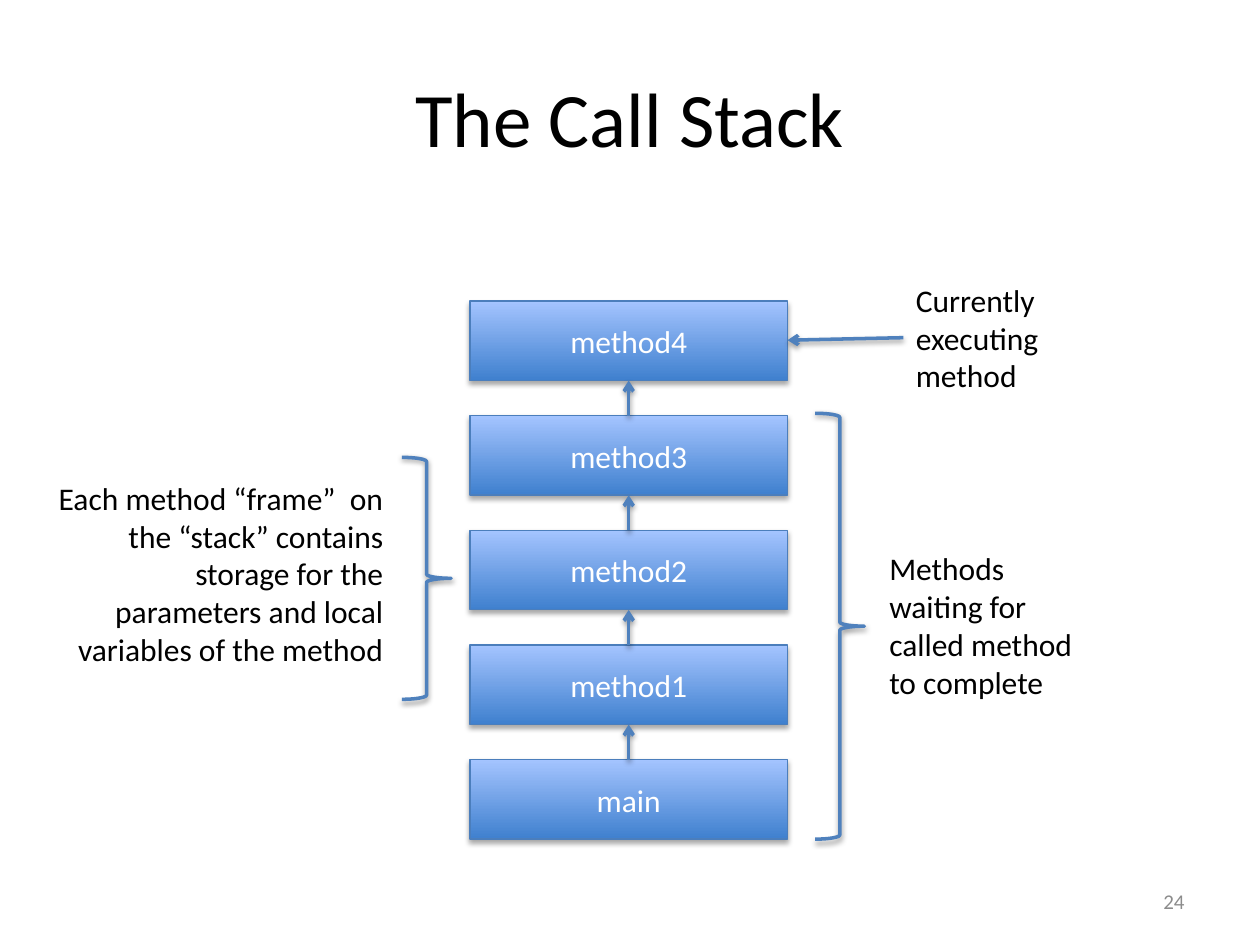
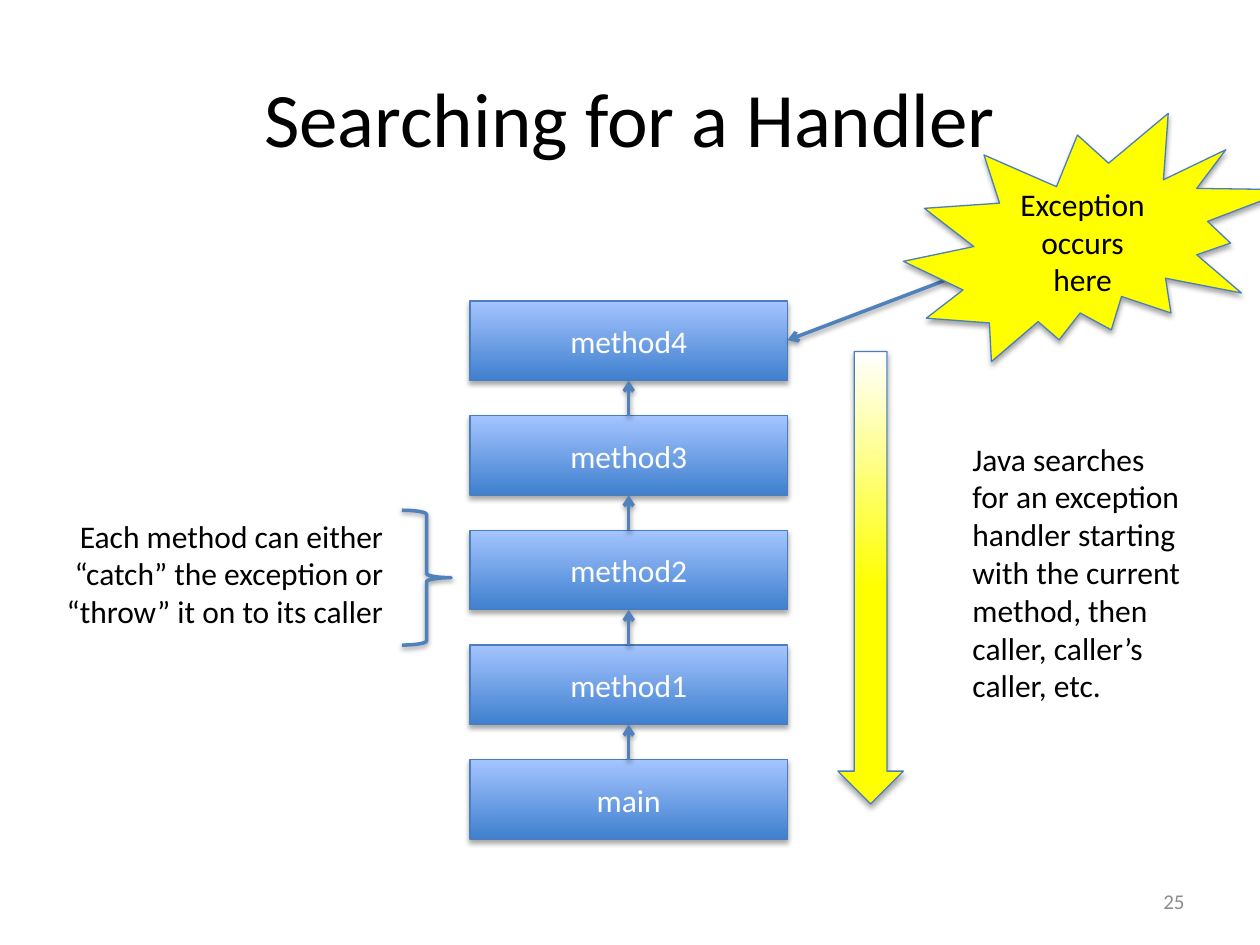
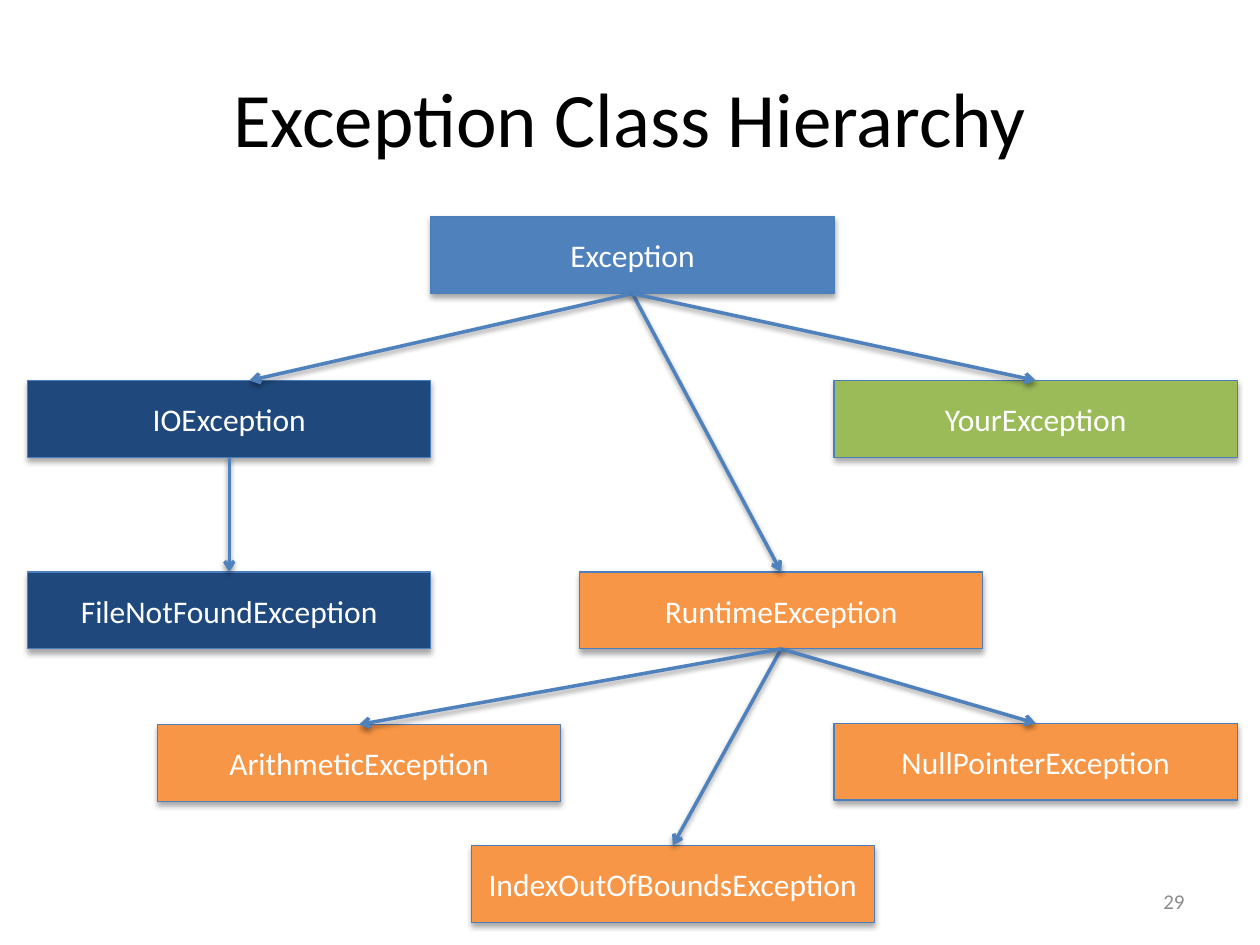
from lxml.etree import SubElement
from pptx import Presentation
from pptx.dml.color import RGBColor
from pptx.enum.shapes import MSO_CONNECTOR, MSO_SHAPE
from pptx.enum.text import MSO_ANCHOR as ANCHOR, MSO_AUTO_SIZE, PP_ALIGN as ALIGN
from pptx.oxml.ns import qn
from pptx.util import Inches, Pt

BLACK, WHITE, GREY = "000000", "FFFFFF", "8C8C8C"
BLUE, NAVY, ORANGE, GREEN, YELLOW = "4F81BD", "1F497D", "F79646", "9BBB59", "FFFF00"
EDGE = "4B7EBC"
FRAME_GRADIENT = [(0, "3F80CE"), (1, "A4C4FF")]
SEARCH_GRADIENT = [(0.48, YELLOW), (1, WHITE)]
rgb = RGBColor.from_string


def style(shape, fill=None):
    if isinstance(fill, str):
        shape.fill.solid()
        shape.fill.fore_color.rgb = rgb(fill)
    elif fill:
        shape.fill.gradient()
        shape.fill.gradient_angle = 90
        for stop, (position, color) in zip(shape.fill.gradient_stops, fill):
            stop.position = position
            stop.color.rgb = rgb(color)
    shape.line.color.rgb = rgb(EDGE if fill else BLUE)
    shape.line.width = Pt(0.75 if fill else 2)
    effects = SubElement(shape._element.spPr, qn("a:effectLst"))
    shadow = SubElement(effects, qn("a:outerShdw"), blurRad=str(Pt(3.1)),
                        dist=str(Pt(1.8 if fill else 1.6)), dir="5400000", rotWithShape="0")
    shadow_color = SubElement(shadow, qn("a:srgbClr"), val=BLACK)
    SubElement(shadow_color, qn("a:alpha"), val="35000" if fill else "38000")


def write(shape, text, size=18, color=BLACK, align=ALIGN.CENTER, anchor=ANCHOR.MIDDLE):
    frame = shape.text_frame
    frame.word_wrap = True
    frame.vertical_anchor = anchor
    paragraph = frame.paragraphs[0]
    paragraph.text = text
    paragraph.alignment = align
    paragraph.font.name = "Calibri"
    paragraph.font.size = Pt(size)
    paragraph.font.color.rgb = rgb(color)


presentation = Presentation()
presentation.slide_width = Inches(10)
presentation.slide_height = Inches(7.5)

slides = []
for title, number in [("The Call Stack", 24), ("Searching for a Handler", 25),
                      ("Exception Class Hierarchy", 29)]:
    slide = presentation.slides.add_slide(presentation.slide_layouts[5])
    heading = slide.shapes.title
    heading.left, heading.top = Inches(0.5), Inches(0.3)
    heading.width, heading.height = Inches(9), Inches(1.25)
    write(heading, title, 44)
    number_box = slide.shapes.add_textbox(Inches(7.17), Inches(6.95), Inches(2.33), Inches(0.4))
    write(number_box, str(number), 12, GREY, ALIGN.RIGHT)
    slides.append(slide)
call_stack, handler_search, hierarchy = slides

boxes = []
arrows = [(call_stack, 7.17, 2.68, 6.25, 2.7), (handler_search, 7.62, 2.18, 6.25, 2.7)]

FRAME_HEIGHT, FRAME_STEP = 0.63, 0.91
for slide in (call_stack, handler_search):
    for row, name in enumerate(["main", "method1", "method2", "method3", "method4"]):
        top = 6.03 - row * FRAME_STEP
        boxes.append((slide, name, 3.73, top, 2.52, FRAME_HEIGHT, FRAME_GRADIENT))
        if name != "method4":
            arrows.append((slide, 4.99, top, 4.99, top - FRAME_STEP + FRAME_HEIGHT))

CLASS_WIDTH, CLASS_HEIGHT = 3.2, 0.61
classes = {
    "Exception": (3.42, 1.72, BLUE),
    "IOException": (0.22, 3.02, NAVY),
    "YourException": (6.62, 3.02, GREEN),
    "FileNotFoundException": (0.22, 4.54, NAVY),
    "RuntimeException": (4.6, 4.54, ORANGE),
    "ArithmeticException": (1.25, 5.75, ORANGE),
    "NullPointerException": (6.62, 5.74, ORANGE),
    "IndexOutOfBoundsException": (3.74, 6.71, ORANGE),
}
for name, (left, top, color) in classes.items():
    boxes.append((hierarchy, name, left, top, CLASS_WIDTH, CLASS_HEIGHT, color))

for parent, child, shift in [
    ("Exception", "IOException", 0.16),
    ("Exception", "RuntimeException", 0),
    ("Exception", "YourException", 0),
    ("IOException", "FileNotFoundException", 0),
    ("RuntimeException", "NullPointerException", 0),
    ("RuntimeException", "IndexOutOfBoundsException", 0),
    ("RuntimeException", "ArithmeticException", 0),
]:
    parent_left, parent_top, _ = classes[parent]
    child_left, child_top, _ = classes[child]
    arrows.append((hierarchy, parent_left + CLASS_WIDTH / 2, parent_top + CLASS_HEIGHT,
                   child_left + CLASS_WIDTH / 2 + shift, child_top))

for slide, name, left, top, width, height, fill in boxes:
    box = slide.shapes.add_shape(MSO_SHAPE.RECTANGLE, Inches(left), Inches(top),
                                 Inches(width), Inches(height))
    style(box, fill)
    write(box, name, color=WHITE)

for slide, *ends in arrows:
    arrow = slide.shapes.add_connector(MSO_CONNECTOR.STRAIGHT, *map(Inches, ends))
    style(arrow)
    SubElement(arrow._element.spPr.find(qn("a:ln")), qn("a:tailEnd"), type="arrow")

for slide, left, top, height in [(call_stack, 3.19, 3.63, 1.92), (call_stack, 6.47, 3.28, 3.38),
                                 (handler_search, 3.19, 4.05, 1.07)]:
    brace = slide.shapes.add_shape(MSO_SHAPE.RIGHT_BRACE, Inches(left), Inches(top),
                                   Inches(0.39), Inches(height))
    brace.fill.background()
    style(brace)

for slide, left, top, width, height, align, text in [
    (call_stack, 0.24, 3.75, 2.9, 1.62, ALIGN.RIGHT,
     "Each method “frame”  on the “stack” contains storage for the parameters "
     "and local variables of the method"),
    (call_stack, 7.17, 2.18, 1.52, 1.01, ALIGN.LEFT, "Currently executing method"),
    (call_stack, 6.96, 4.31, 1.87, 1.31, ALIGN.LEFT,
     "Methods waiting for called method to complete"),
    (handler_search, 0.24, 4.05, 2.9, 1.01, ALIGN.RIGHT,
     "Each method can either “catch” the exception or “throw” it on to its caller"),
    (handler_search, 7.62, 3.44, 1.87, 2.22, ALIGN.LEFT,
     "Java searches for an exception handler starting with the current method, "
     "then caller, caller’s caller, etc."),
]:
    note = slide.shapes.add_textbox(Inches(left), Inches(top), Inches(width), Inches(height))
    write(note, text, align=align, anchor=ANCHOR.TOP)
    note.text_frame.auto_size = MSO_AUTO_SIZE.SHAPE_TO_FIT_TEXT

search_arrow = handler_search.shapes.add_shape(
    MSO_SHAPE.DOWN_ARROW, Inches(6.65), Inches(2.79), Inches(0.52), Inches(3.59))
style(search_arrow, SEARCH_GRADIENT)

burst = handler_search.shapes.add_shape(
    MSO_SHAPE.EXPLOSION2, Inches(7.17), Inches(0.9), Inches(3.07), Inches(1.97))
style(burst, YELLOW)
write(burst, "Exception occurs here")

presentation.save("out.pptx")
